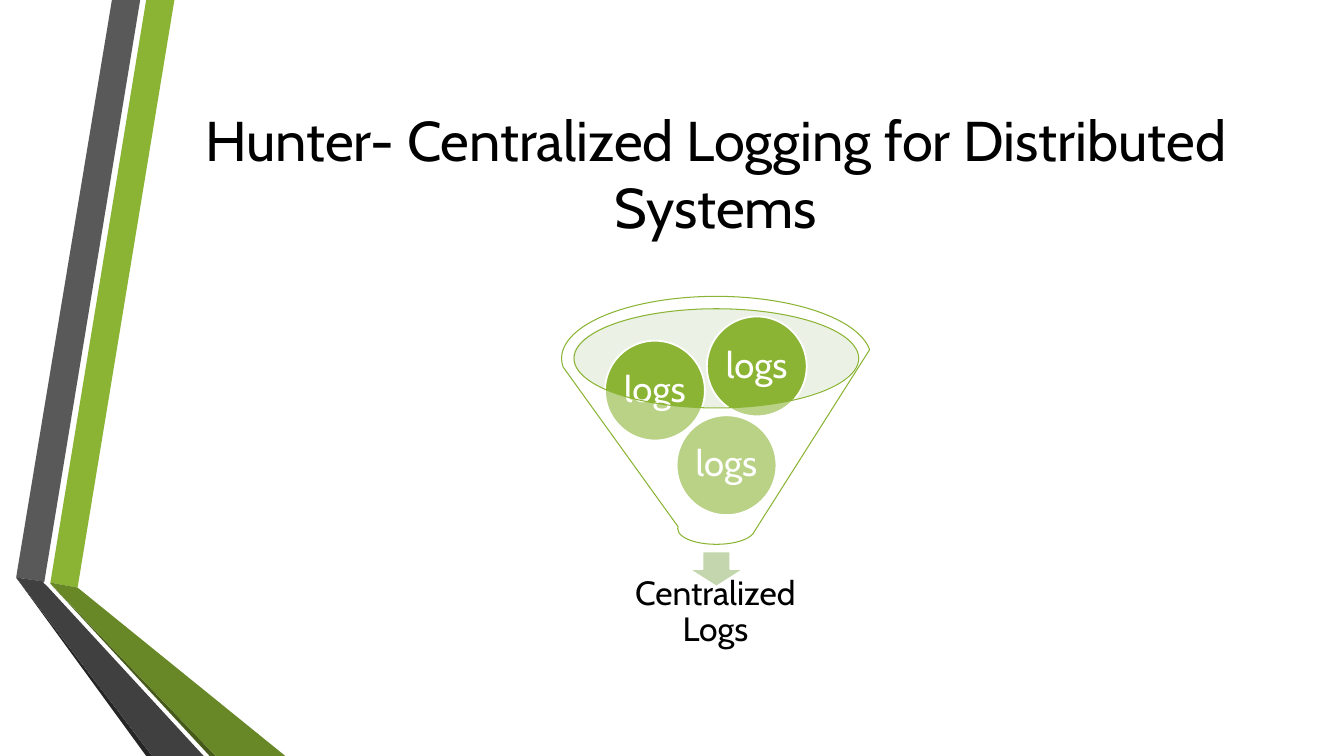
from dataclasses import dataclass

from lxml import etree
from pptx import Presentation
from pptx.dml.color import RGBColor
from pptx.enum.shapes import MSO_SHAPE
from pptx.enum.text import MSO_ANCHOR, PP_ALIGN
from pptx.oxml.ns import qn
from pptx.util import Inches, Pt

OVAL, FUNNEL, DOWN_ARROW = MSO_SHAPE.OVAL, MSO_SHAPE.FUNNEL, MSO_SHAPE.DOWN_ARROW
MIDDLE, CENTER = MSO_ANCHOR.MIDDLE, PP_ALIGN.CENTER


@dataclass(frozen=True)
class Theme:
    font: str = "Cabin"
    green: str = "8BB434"
    green_shade: str = "688727"
    green_edge: str = "465A1A"
    grey: str = "595959"
    grey_shade: str = "404040"
    grey_edge: str = "262626"
    mouth: str = "D0DEBF"
    arrow: str = "C4D6AE"
    white: str = "FFFFFF"
    black: str = "000000"
    title_size: int = 40
    ball_size: int = 26
    label_size: int = 24
    glass_opacity: int = 40
    outline: float = 0.75
    ball_outline: float = 1.25


THEME = Theme()

RIBBONS = [
    (THEME.green, [(17.67, 77.07), (27.21, 77.73), (61.13, 0), (51.24, 0)]),
    (THEME.grey, [(49.12, 0), (39.22, 0), (5.65, 76.4), (15.55, 76.93)]),
    (THEME.grey_edge, [(5.65, 76.4), (51.24, 100), (53.36, 100)]),
    (THEME.green_edge, [(17.67, 77.2), (73.5, 100), (75.62, 100)]),
    (THEME.green_shade, [(17.67, 77.2), (75.62, 100), (100, 100),
                         (27.21, 77.73), (17.67, 77.07)]),
    (THEME.grey_shade, [(71.38, 100), (16.96, 77.73), (15.19, 77.07),
                        (15.55, 76.93), (5.65, 76.4), (53.36, 100)]),
]
BALL_CORNERS = [(37.13, 34.01), (14.01, 12.68), (46.91, 5.76)]
BALL_EXTENT = (32.25, 28.53)


def place(box, left, top, width, height):
    x, y, w, h = box
    return (round(x + w * left / 100), round(y + h * top / 100),
            round(w * width / 100), round(h * height / 100))


def paint(shape, fill, line=None, weight=0, opacity=100):
    shape.shadow.inherit = False
    shape.fill.solid()
    shape.fill.fore_color.rgb = RGBColor.from_string(fill)
    if opacity < 100:
        color = shape.fill._xPr.find(qn("a:solidFill"))[0]
        etree.SubElement(color, qn("a:alpha")).set("val", str(opacity * 1000))
    if line:
        shape.line.color.rgb = RGBColor.from_string(line)
        shape.line.width = Pt(weight)
    else:
        shape.line.fill.background()


def write(shape, wording, size, color, spacing=1.0, insets=(0.1, 0.05)):
    frame = shape.text_frame
    across, down = (Inches(inset) for inset in insets)
    frame_format = {"word_wrap": True, "vertical_anchor": MIDDLE,
                    "margin_left": across, "margin_right": across,
                    "margin_top": down, "margin_bottom": down}
    for name, value in frame_format.items():
        setattr(frame, name, value)
    paragraph = frame.paragraphs[0]
    paragraph.alignment, paragraph.line_spacing = CENTER, spacing
    run = paragraph.add_run()
    run.text = wording
    for name, value in {"name": THEME.font, "size": Pt(size)}.items():
        setattr(run.font, name, value)
    run.font.color.rgb = RGBColor.from_string(color)


def draw_ribbons(shapes, box):
    for color, corners in RIBBONS:
        points = [place(box, x, y, 0, 0)[:2] for x, y in corners]
        outline = shapes.build_freeform(*points[0], scale=1.0)
        outline.add_line_segments(points[1:], close=True)
        paint(outline.convert_to_shape(), color)


def draw_title(shapes, box):
    title = shapes.add_textbox(*box)
    write(title, "Hunter- Centralized Logging for Distributed Systems",
          THEME.title_size, THEME.black)


def draw_log_funnel(shapes, box):
    mouth = shapes.add_shape(OVAL, *place(box, 3.58, 3.46, 92.18, 28.24))
    paint(mouth, THEME.mouth, opacity=THEME.glass_opacity)
    arrow = shapes.add_shape(DOWN_ARROW, *place(box, 41.04, 72.91, 17.92, 10.09))
    paint(arrow, THEME.arrow, THEME.white, THEME.ball_outline)
    label = shapes.add_textbox(*place(box, 6.84, 80.98, 85.67, 19.02))
    write(label, "Centralized Logs", THEME.label_size, THEME.black, 0.9, (0.19, 0.19))
    for corner in BALL_CORNERS:
        ball = shapes.add_shape(OVAL, *place(box, *corner, *BALL_EXTENT))
        paint(ball, THEME.green, THEME.white, THEME.ball_outline)
        write(ball, "logs", THEME.ball_size, THEME.white, 0.9, (0.04, 0.04))
    funnel = shapes.add_shape(FUNNEL, *place(box, 0, 0, 100, 70.89))
    paint(funnel, THEME.white, THEME.green, THEME.outline, THEME.glass_opacity)


def main():
    deck = Presentation()
    deck.slide_width, deck.slide_height = Inches(13.33), Inches(7.5)
    page = (0, 0, deck.slide_width, deck.slide_height)
    shapes = deck.slides.add_slide(deck.slide_layouts[6]).shapes
    draw_ribbons(shapes, place(page, 0, 0, 21.23, 100))
    draw_title(shapes, place(page, 12.15, 10, 82.22, 25.6))
    draw_log_funnel(shapes, place(page, 41.79, 39.2, 23.03, 46.27))
    deck.save("out.pptx")


if __name__ == "__main__":
    main()
